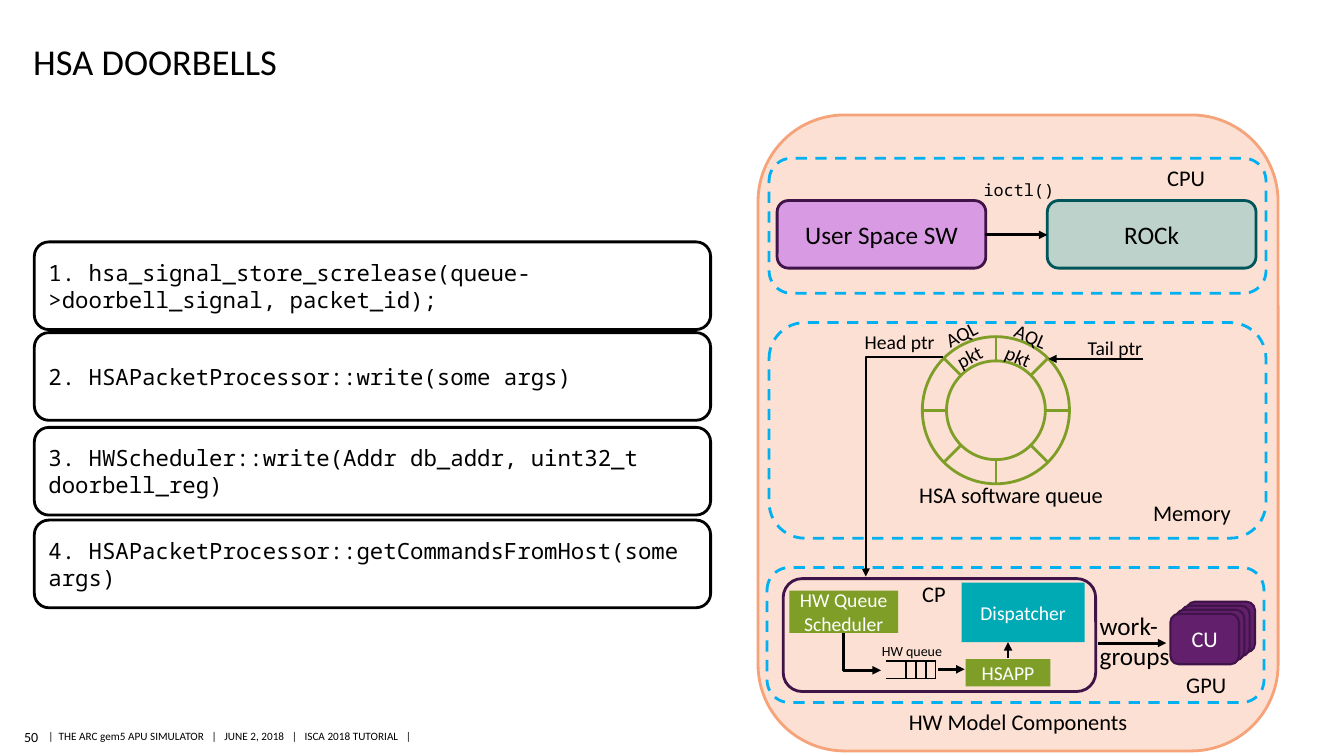
from dataclasses import dataclass
from math import cos, pi, sin

from lxml import etree
from pptx import Presentation
from pptx import util as u
from pptx.dml import color
from pptx.enum import dml, shapes, text
from pptx.oxml import ns

MID, LEFT, RIGHT = text.PP_ALIGN.CENTER, text.PP_ALIGN.LEFT, text.PP_ALIGN.RIGHT
BOX, ROUND, OVAL = (shapes.MSO_SHAPE.RECTANGLE, shapes.MSO_SHAPE.ROUNDED_RECTANGLE,
                    shapes.MSO_SHAPE.OVAL)
MIDDLE, BOTTOM = text.MSO_ANCHOR.MIDDLE, text.MSO_ANCHOR.BOTTOM


@dataclass(frozen=True)
class Theme:
    """Colours, fonts and type sizes of the slide."""
    ink: str = "000000"
    paper: str = "FFFFFF"
    peach: str = "FCE0D3"
    coral: str = "F7A37A"
    teal: str = "00AAB5"
    pine: str = "00555A"
    lilac: str = "D89AE2"
    plum: str = "401448"
    grape: str = "611F6C"
    olive: str = "7E9E27"
    sky: str = "00B0F0"
    sans: str = "Calibri"
    mono: str = "Noto Sans Mono"
    title: int = 26
    big: int = 18
    mid: int = 16
    small: int = 14
    call: int = 12
    tiny: int = 10
    foot: int = 8


T = Theme()


def cell(n):
    """Turn grid cells, ten to the inch, into a length."""
    return u.Inches(round(n / 10, 3))


def rgb(code):
    """Turn a hex code into a colour."""
    return color.RGBColor.from_string(code)


def write(shape, words, size, ink=T.ink, font=T.sans, align=LEFT, after=0):
    """Fill a shape with one paragraph per line of words."""
    frame = shape.text_frame
    for i, line in enumerate(words.split("\n")):
        para = frame.add_paragraph() if i else frame.paragraphs[0]
        para.alignment = align
        if after:
            para.space_after = u.Pt(after)
        run = para.add_run()
        run.text = line
        run.font.size, run.font.name = u.Pt(size), font
        run.font.color.rgb = rgb(ink)


def label(tree, at, words, size=T.mid, wrap=False, pad=None, turn=0, anchor=None,
          grow=True, **style):
    """Add a text box."""
    box = tree.add_textbox(*map(cell, at))
    box.rotation = turn
    frame = box.text_frame
    frame.word_wrap = wrap
    if grow:
        frame.auto_size = text.MSO_AUTO_SIZE.SHAPE_TO_FIT_TEXT
    if anchor is not None:
        frame.vertical_anchor = anchor
    if pad:
        (frame.margin_left, frame.margin_top,
         frame.margin_right, frame.margin_bottom) = map(cell, pad)
    write(box, words, size, **style)


def node(tree, kind, at, fill=None, edge=None, width=2, words="", size=T.mid,
         dash=False, alpha=None, ink=T.ink, font=T.sans, align=MID):
    """Add a preset shape with its fill, edge and words."""
    shape = tree.add_shape(kind, *map(cell, at))
    shape.shadow.inherit = False
    if fill:
        shape.fill.solid()
        shape.fill.fore_color.rgb = rgb(fill)
    else:
        shape.fill.background()
    if alpha:
        tint = shape.fill._xPr.find(".//" + ns.qn("a:srgbClr"))
        etree.SubElement(tint, ns.qn("a:alpha")).set("val", str(alpha * 1000))
    if edge:
        shape.line.color.rgb = rgb(edge)
        shape.line.width = u.Pt(width)
    else:
        shape.line.fill.background()
    if dash:
        shape.line.dash_style = dml.MSO_LINE.DASH
    if words:
        shape.text_frame.word_wrap = True
        shape.text_frame.vertical_anchor = MIDDLE
        write(shape, words, size, ink, font, align)


def wire(tree, start, end, ink=T.ink, width=2, arrow=False, bent=False, turn=0):
    """Add a straight or one-bend connector."""
    kind = shapes.MSO_CONNECTOR.ELBOW if bent else shapes.MSO_CONNECTOR.STRAIGHT
    link = tree.add_connector(kind, *map(cell, (*start, *end)))
    link.line.color.rgb = rgb(ink)
    link.line.width = u.Pt(width)
    props = link._element.spPr
    if arrow:
        tip = etree.SubElement(props.find(ns.qn("a:ln")), ns.qn("a:tailEnd"))
        tip.set("type", "triangle")
    if bent:
        props.find(ns.qn("a:prstGeom")).set("prst", "bentConnector2")
    if turn:
        props.find(ns.qn("a:xfrm")).set("rot", str(turn * 60000))
    etree.SubElement(props, ns.qn("a:effectLst"))


def steps(tree):
    """Add the four code steps."""
    calls = ((24, "1. hsa_signal_store_screlease(queue->doorbell_signal, packet_id);"),
             (33, "2. HSAPacketProcessor::write(some args)"),
             (42.4, "3. HWScheduler::write(Addr db_addr, uint32_t doorbell_reg)"),
             (51.6, "4. HSAPacketProcessor::getCommandsFromHost(some args)"))
    for top, code in calls:
        node(tree, ROUND, (3.4, top, 67.1, 8.7), T.paper, T.ink,
             words=code, font=T.mono, align=LEFT)


def cpu(tree):
    """Add the CPU panel."""
    node(tree, ROUND, (76.3, 15.7, 49.3, 13.4), edge=T.sky, dash=True)
    node(tree, ROUND, (103.9, 19.9, 20.7, 6.7), T.teal, T.pine,
         words="ROCk", size=T.big, alpha=25)
    node(tree, ROUND, (77.1, 19.9, 20.7, 6.7), T.lilac, T.plum,
         words="User Space SW", size=T.big)
    wire(tree, (97.7, 23.3), (103.9, 23.3), arrow=True)
    label(tree, (96.6, 17.3, 9.1, 3), "ioctl()", T.call, font=T.mono, after=6)
    label(tree, (114.8, 15.8, 5.8, 3.7), "CPU", after=6)


def memory(tree):
    """Add the memory panel with its ring of packets."""
    node(tree, ROUND, (76.3, 32, 49.3, 21.4), edge=T.sky, dash=True)
    x, y, inner, outer = 98.8, 40.7, 4.9, 7.3
    for r in (inner, outer):
        node(tree, OVAL, (x - r, y - r, 2 * r, 2 * r), edge=T.olive)
    for k in range(8):
        dx, dy = cos(k * pi / 4), sin(k * pi / 4)
        wire(tree, (x + inner * dx, y + inner * dy),
             (x + outer * dx, y + outer * dy), T.olive)
    for left, top, turn in ((93.3, 31.3, 332.1), (99.2, 31.6, 23.5)):
        label(tree, (left, top, 5.3, 5.7), "AQL\npkt", T.small, turn=turn)
    label(tree, (84.8, 32.2, 9, 3.4), "Head ptr", T.small, after=6)
    label(tree, (106.9, 32.8, 7.5, 3.4), "Tail ptr", T.small, after=6)
    label(tree, (90.2, 47.2, 20.6, 3.7), "HSA software queue", after=6)
    label(tree, (113.4, 49, 9.8, 3.7), "Memory", after=6)
    wire(tree, (93.6, 35.4), (85.9, 57.2), width=1.5, arrow=True, bent=True)
    wire(tree, (113.4, 35.6), (104, 35.6), width=1.5, arrow=True)


def queue(tree):
    """Add the hardware queue."""
    for row in (65.6, 67.3):
        wire(tree, (92.9, row), (87.9, row), width=1.25)
    for k in range(4):
        col = 89.9 + k * 0.97
        wire(tree, (col, 65.6), (col, 67.3), width=1.25)


def gpu(tree):
    """Add the GPU panel."""
    units = tree.add_group_shape().shapes
    for k in range(4):
        node(units, ROUND, (117.7 - k * 0.53, 59.7 + k * 0.4, 6.8, 5), T.grape,
             T.plum, 1.5, words="CU" if k == 3 else "", ink=T.paper)
    wire(tree, (108.9, 63.8), (115.7, 63.8), arrow=True)
    node(tree, ROUND, (76.1, 56.3, 49.3, 13.4), edge=T.sky, dash=True)
    label(tree, (116.7, 66.1, 6, 3.7), "GPU", after=6)
    node(tree, ROUND, (77.7, 57.4, 31, 11.2), edge=T.plum)
    for at, fill, words in (((95.8, 65.4, 8.4, 2.7), T.olive, "HSAPP"),
                            ((95.4, 57.8, 12.2, 5.9), T.teal, "Dispatcher"),
                            ((78.3, 58.6, 10.8, 4.2), T.olive, "HW Queue Scheduler")):
        node(tree, BOX, at, fill, words=words, size=T.small, ink=T.paper)
    label(tree, (90.5, 57.1, 4.4, 3.7), "CP", after=6)
    queue(tree.add_group_shape().shapes)
    label(tree, (86.5, 63.3, 8.1, 2.7), "HW queue", T.tiny, after=6)
    wire(tree, (87.4, 62.8), (83.7, 66.5), arrow=True, bent=True, turn=270)
    wire(tree, (93.1, 66.4), (95.7, 66.4), arrow=True)
    wire(tree, (100, 65.3), (100, 63.7), arrow=True)
    label(tree, (109.1, 60.5, 7, 6.1), "work-\ngroups", T.big, True, (0, 0, 0, 0))


def main():
    """Build the slide and save it."""
    deck = Presentation()
    deck.slide_width, deck.slide_height = cell(133.33), cell(75)
    tree = deck.slides.add_slide(deck.slide_layouts[6]).shapes
    thin = (0, 0.4, 0, 0.4)
    label(tree, (2.2, 71.8, 1.6, 2.6), "50", T.tiny, pad=thin, anchor=MIDDLE, align=RIGHT)
    label(tree, (4.8, 71.9, 36.5, 2.3),
          "|  THE ARC gem5 APU SIMULATOR   |   JUNE 2, 2018   |   ISCA 2018 TUTORIAL   |",
          T.foot, True, thin, anchor=MIDDLE)
    label(tree, (3.3, 3, 114, 5.2), "HSA DOORBELLS", T.title, True, (0, 0.5, 0, 0),
          anchor=BOTTOM, grow=False)
    steps(tree)
    node(tree, ROUND, (75.2, 11.4, 51.6, 63.1), T.peach, T.coral)
    label(tree, (89, 69.8, 24, 3.7), "HW Model Components", align=MID, after=6)
    for panel in (cpu, memory, gpu):
        panel(tree)
    deck.save("out.pptx")


if __name__ == "__main__":
    main()
